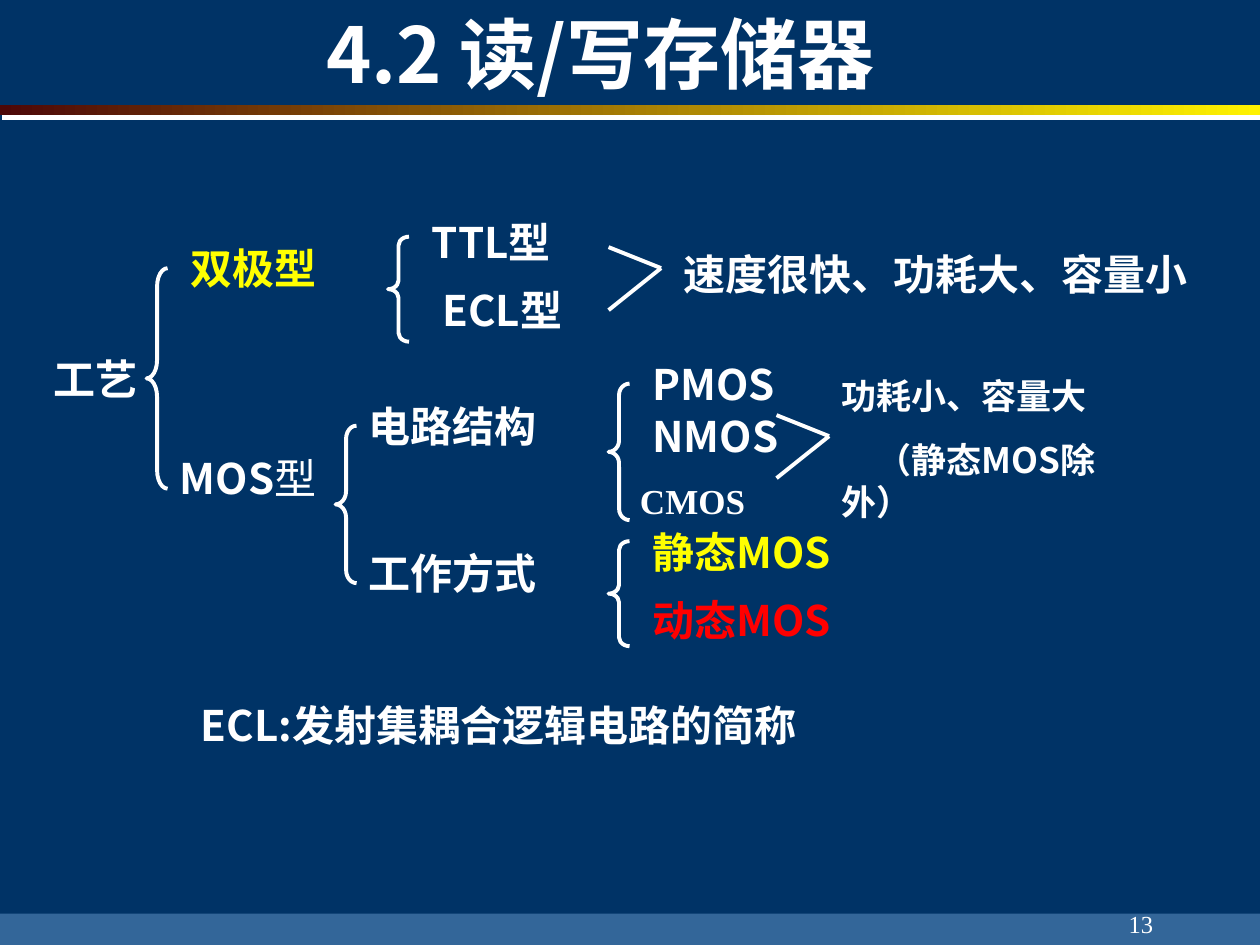
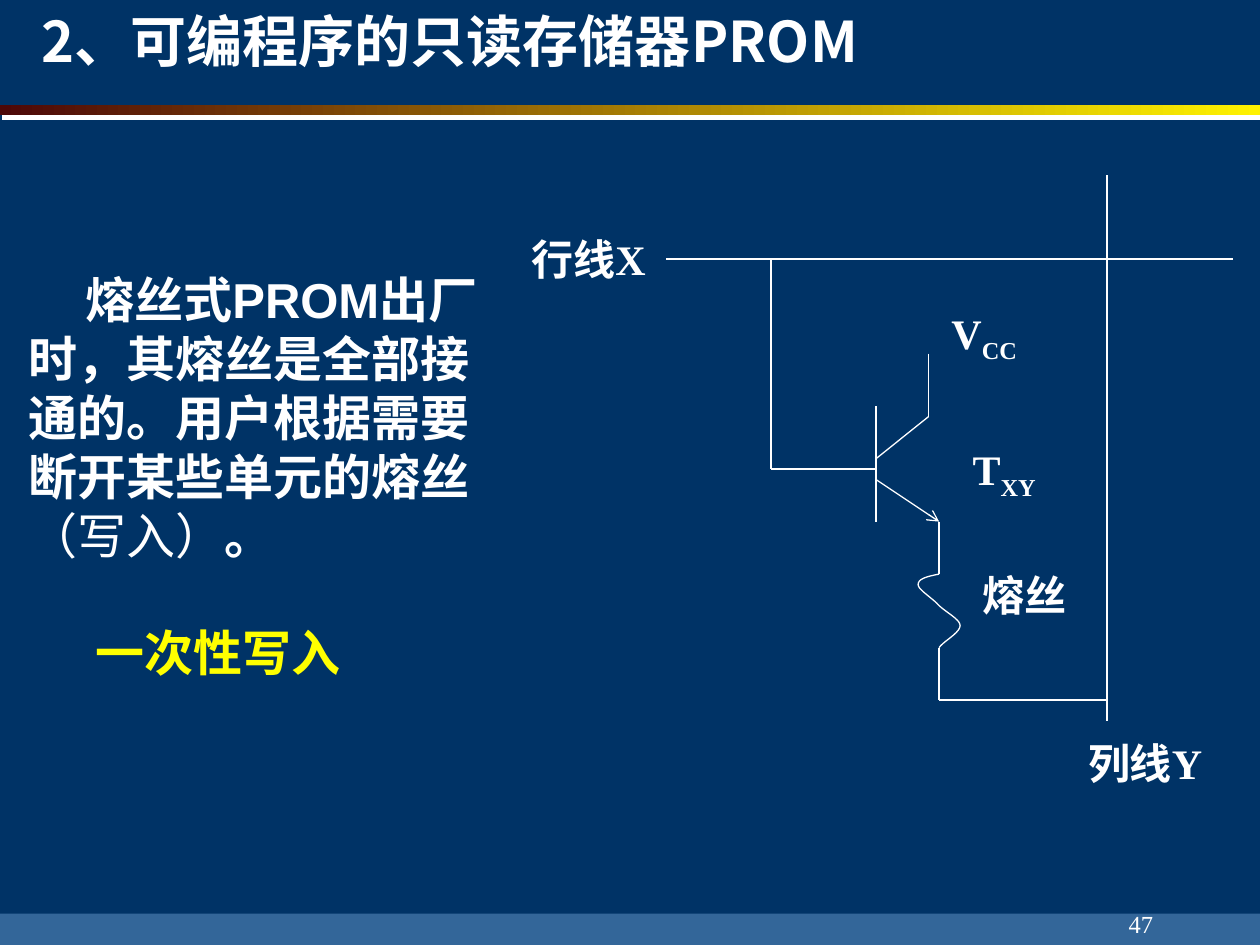
from dataclasses import dataclass
from lxml.etree import SubElement
from pptx import Presentation
from pptx.dml.color import RGBColor
from pptx.enum.shapes import MSO_CONNECTOR, MSO_SHAPE
from pptx.enum.text import MSO_ANCHOR as Anchor, MSO_AUTO_SIZE as AutoSize, PP_ALIGN as Align
from pptx.oxml.ns import qn
from pptx.util import Inches, Pt

NAVY = RGBColor(0x00, 0x33, 0x66)
STEEL = RGBColor(0x33, 0x66, 0x99)
MAROON = RGBColor(0x4D, 0x08, 0x08)
GOLD = RGBColor(0xFF, 0xF2, 0x00)
WHITE = RGBColor(0xFF, 0xFF, 0xFF)
YELLOW = RGBColor(0xFF, 0xFF, 0x00)
RED = RGBColor(0xFF, 0x00, 0x00)

CJK, SERIF, SANS = "Noto Sans CJK SC", "Times New Roman", "Arial"
WIDTH, HEIGHT = Inches(10), Inches(7.5)
CELL = Inches(1) / 12
LABEL_ROWS = 6


@dataclass
class Grid:
    """A region of the slide, measured in square cells from its top left corner."""
    left: int
    top: int

    def point(self, col, row):
        return round(self.left + col * CELL), round(self.top + row * CELL)

    def box(self, col, row, cols, rows):
        return *self.point(col, row), round(cols * CELL), round(rows * CELL)


def style(paragraph, size, face=CJK, color=WHITE, bold=True, align=Align.LEFT):
    paragraph.alignment = align
    font = paragraph.font
    font.size, font.name, font.bold = Pt(size), face, bold
    font.color.rgb = color
    defaults = paragraph._p.pPr.find(qn("a:defRPr"))
    SubElement(defaults, qn("a:ea"), typeface=CJK)


def indent_first_line(paragraph, inches):
    """Drop any bullet and indent only the first line."""
    props = paragraph._p.get_or_add_pPr()
    props.set("marL", "0")
    props.set("indent", str(Inches(inches)))
    SubElement(props, qn("a:buNone"))


def add_label(slide, box, text, size=24, **look):
    frame = slide.shapes.add_textbox(*box).text_frame
    frame.word_wrap = True
    frame.text = text
    style(frame.paragraphs[0], size, **look)
    return frame


def add_line(slide, start, end, weight, arrow=False):
    line = slide.shapes.add_connector(MSO_CONNECTOR.STRAIGHT, *start, *end)
    line.line.color.rgb = WHITE
    line.line.width = Pt(weight)
    if arrow:
        SubElement(line.line._get_or_add_ln(), qn("a:tailEnd"), type="arrow")
    SubElement(line._element.spPr, qn("a:effectLst"))


def add_brace(slide, box):
    brace = slide.shapes.add_shape(MSO_SHAPE.LEFT_BRACE, *box)
    brace.adjustments[0] = box[3] / 12 / box[2]
    brace.shadow.inherit = False
    brace.fill.background()
    brace.line.color.rgb = WHITE
    brace.line.width = Pt(2.25)


def add_chevron(slide, grid, col, row):
    tip = grid.point(col + 5, row + 2)
    for start_row in (row, row + 6):
        add_line(slide, grid.point(col, start_row), tip, 2.25)


def add_band(slide, top, height):
    band = slide.shapes.add_shape(MSO_SHAPE.RECTANGLE, 0, top, WIDTH, height)
    band.shadow.inherit = False
    band.line.fill.background()
    return band


def add_frame(slide, number):
    """Footer strip, gradient rule with its white edge, and page number."""
    footer = add_band(slide, Inches(7.25), Inches(0.25))
    footer.fill.solid()
    footer.fill.fore_color.rgb = STEEL

    rule = add_band(slide, Inches(0.83), Inches(0.08))
    rule.fill.gradient()
    rule.fill.gradient_angle = 0
    for stop, color in zip(rule.fill.gradient_stops, (MAROON, GOLD)):
        stop.color.rgb = color
    effects = rule._element.spPr.find(qn("a:effectLst"))
    edge = SubElement(effects, qn("a:outerShdw"), dist=str(Pt(3.2)),
                      dir=str(72 * 60000), algn="ctr", rotWithShape="0")
    SubElement(edge, qn("a:srgbClr"), val=str(WHITE))

    page = add_label(slide, (Inches(7.17), Inches(7), Inches(2.08), Inches(0.5)),
                     number, 14, face=SERIF, bold=False, align=Align.RIGHT)
    page.vertical_anchor = Anchor.BOTTOM


def place(placeholder, left, top, width, height):
    placeholder.left, placeholder.top = Inches(left), Inches(top)
    placeholder.width, placeholder.height = Inches(width), Inches(height)
    frame = placeholder.text_frame
    frame.word_wrap = True
    frame.auto_size = AutoSize.NONE
    frame.vertical_anchor = Anchor.TOP
    return frame


def add_framed_slide(prs, layout, number, title, title_box, size, align):
    slide = prs.slides.add_slide(prs.slide_layouts[layout])
    add_frame(slide, number)
    frame = place(slide.shapes.title, *title_box)
    frame.text = title
    style(frame.paragraphs[0], size, align=align)
    return slide


def draw_memory_tree(slide, grid):
    for brace in ((10, 5.5, 2, 21), (33, 2.5, 2, 10), (28, 20.5, 2, 15),
                  (54, 16.5, 2, 13), (54, 31.5, 2, 10)):
        add_brace(slide, grid.box(*brace))

    for col, row, cols, text, color in (
            (0, 13, 21, "工艺", WHITE),
            (13, 2.5, 30, "双极型", YELLOW),
            (36, 0, 30, "TTL型", WHITE),
            (37, 6.5, 25, "ECL型", WHITE),
            (60, 3, 56, "速度很快、功耗大、容量小", WHITE),
            (30, 17.5, 25, "电路结构", WHITE),
            (57, 13.5, 23, "PMOS", WHITE),
            (57, 18.5, 23, "NMOS", WHITE),
            (30, 31.5, 25, "工作方式", WHITE),
            (57, 29.5, 23, "静态MOS", YELLOW),
            (57, 36, 23, "动态MOS", RED),
            (14, 46, 65, "ECL:发射集耦合逻辑电路的简称", WHITE)):
        add_label(slide, grid.box(col, row, cols, LABEL_ROWS), text, color=color)

    mos = add_label(slide, grid.box(12, 22.5, 23, LABEL_ROWS), "MOS")
    kind = mos.paragraphs[0].add_run()
    kind.text = "型"
    kind.font.bold = False
    add_label(slide, grid.box(54, 25, 16, 5), "CMOS", 20, face=SERIF, align=Align.CENTER)

    traits = add_label(slide, grid.box(75, 15, 33, 15), "功耗小、容量大", 20)
    exception = traits.add_paragraph()
    exception.text = "（静态MOS除外）"
    exception.space_before = Pt(12.5)
    indent_first_line(exception, 0.28)
    style(exception, 20)

    add_chevron(slide, grid, 54, 3.5)
    add_chevron(slide, grid, 70, 19.5)


def bezier(p0, p1, p2, p3, steps=10):
    for step in range(1, steps + 1):
        t = step / steps
        u = 1 - t
        yield tuple(u**3 * a + 3 * u * u * t * b + 3 * u * t * t * c + t**3 * d
                    for a, b, c, d in zip(p0, p1, p2, p3))


def draw_fuse(slide, grid):
    knots = [(40, 38), (39, 38.2), (38, 38.4), (38, 39), (38, 39.5), (39.4, 40.3),
             (40, 41), (40.6, 41.6), (42, 42.3), (42, 42.9), (42, 43.6), (40.4, 44.4),
             (40, 45)]
    curve = [grid.point(*spot) for first in range(0, len(knots) - 1, 3)
             for spot in bezier(*knots[first:first + 4])]
    builder = slide.shapes.build_freeform(*grid.point(*knots[0]))
    builder.add_line_segments(curve, close=False)
    fuse = builder.convert_to_shape()
    fuse.shadow.inherit = False
    fuse.fill.background()
    fuse.line.color.rgb = WHITE
    fuse.line.width = Pt(0.75)


def draw_prom_cell(slide, grid):
    row_line, column_line = [(14, 8), (68, 8)], [(56, 0), (56, 52)]
    base_lead = [(24, 8), (24, 28), (34, 28)]
    base, collector = [(34, 22), (34, 33)], [(39, 17), (39, 23), (34, 27)]
    fuse_in, fuse_out = [(40, 33), (40, 38)], [(40, 45), (40, 50), (56, 50)]
    for wire in (row_line, column_line, base_lead, base, collector, fuse_in, fuse_out):
        for start, end in zip(wire, wire[1:]):
            add_line(slide, grid.point(*start), grid.point(*end), 0.75)
    add_line(slide, grid.point(34, 29), grid.point(40, 33), 0.75, arrow=True)
    draw_fuse(slide, grid)

    for col, row, cols, text, subscript in (
            (0, 5, 18, "行线X", ""), (53, 53, 15, "列线Y", ""),
            (40, 12, 10, "V", "CC"), (42, 25, 10, "T", "XY"), (43, 37, 19, "熔丝", "")):
        frame = add_label(slide, grid.box(col, row, cols, LABEL_ROWS), text, face=SERIF)
        if subscript:
            run = frame.paragraphs[0].add_run()
            run.text = subscript
            run.font._element.set("baseline", "-25000")


def write_prom_text(body):
    frame = place(body, 0.23, 2.14, 3.56, 3.27)
    frame.margin_left = frame.margin_right = frame.margin_top = frame.margin_bottom = 0
    fuses, once = frame.paragraphs[0], frame.add_paragraph()
    for text, bold in (("熔丝式PROM出厂时，其熔丝是全部接通的。用户根据需要断开某些单元的熔丝", True),
                       ("（写入）", False), ("。", True)):
        run = fuses.add_run()
        run.text = text
        run.font.bold = bold
    once.text = "一次性写入"
    for paragraph, gap, indent, color in ((fuses, 0, 0.45, WHITE), (once, 33.5, 0.53, YELLOW)):
        paragraph.space_before = Pt(gap)
        indent_first_line(paragraph, indent)
        style(paragraph, 28, face=SANS, color=color)


def main():
    prs = Presentation()
    prs.slide_width, prs.slide_height = WIDTH, HEIGHT
    backdrop = prs.slide_master.background.fill
    backdrop.solid()
    backdrop.fore_color.rgb = NAVY

    memory = add_framed_slide(prs, 5, "13", "4.2 读/写存储器",
                              (0.93, 0, 7.67, 0.84), 44, Align.CENTER)
    draw_memory_tree(memory, Grid(Inches(0.33), Inches(1.67)))

    prom = add_framed_slide(prs, 1, "47", "2、可编程序的只读存储器PROM",
                            (0.23, 0, 9, 0.85), 32, Align.LEFT)
    draw_prom_cell(prom, Grid(Inches(4.12), Inches(1.39)))
    write_prom_text(prom.placeholders[1])
    prs.save("out.pptx")


if __name__ == "__main__":
    main()
